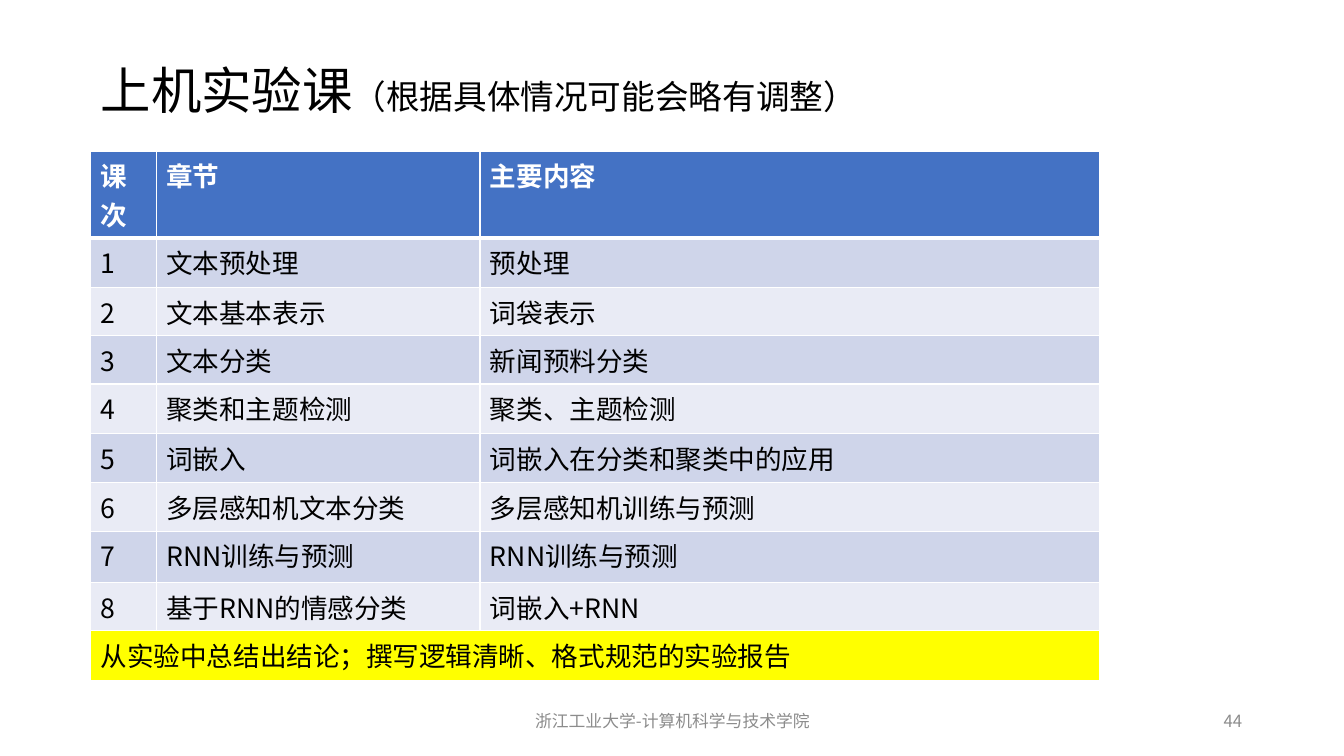
from lxml.etree import SubElement
from pptx import Presentation
from pptx.dml.color import RGBColor
from pptx.enum.text import MSO_ANCHOR as Anchor, PP_ALIGN as Align
from pptx.oxml.ns import qn
from pptx.util import Inches, Pt

COLORS = {
    "text": "000000", "white": "FFFFFF", "muted": "8C8C8C", "header": "4472C4",
    "band_dark": "CFD5EA", "band_light": "E9EBF5", "highlight": "FFFF00",
}
LESSONS = [
    ("文本预处理", "预处理"),
    ("文本基本表示", "词袋表示"),
    ("文本分类", "新闻预料分类"),
    ("聚类和主题检测", "聚类、主题检测"),
    ("词嵌入", "词嵌入在分类和聚类中的应用"),
    ("多层感知机文本分类", "多层感知机训练与预测"),
    ("RNN训练与预测", "RNN训练与预测"),
    ("基于RNN的情感分类", "词嵌入+RNN"),
]
SUMMARY = "从实验中总结出结论；撰写逻辑清晰、格式规范的实验报告"
COLUMN_WIDTHS = [0.65, 3.21, 6.15]
ROW_HEIGHTS = [0.86, 0.49, 0.48, 0.48, 0.49, 0.49, 0.48, 0.51, 0.48, 0.49]


class SlideBuilder:
    font_name = "Noto Sans CJK SC"

    def __init__(self, page):
        self.page = page

    def add_span(self, para, text, size, color="text", bold=False):
        span = para.add_run()
        span.text = text
        formats = {"size": Pt(size), "bold": bold, "name": self.font_name}
        for name, value in formats.items():
            setattr(span.font, name, value)
        span.font.color.rgb = RGBColor.from_string(COLORS[color])
        SubElement(span.font._element, qn("a:ea"), typeface=self.font_name)

    def add_text(self, spans, left, top, width, height, **para_formats):
        """Add a one-paragraph box; each span is (text, size, color)."""
        box = self.page.shapes.add_textbox(*map(Inches, (left, top, width, height)))
        frame = box.text_frame
        frame.word_wrap = True
        frame.vertical_anchor = Anchor.MIDDLE
        para = frame.paragraphs[0]
        for name, value in para_formats.items():
            setattr(para, name, value)
        for span in spans:
            self.add_span(para, *span)

    def add_borders(self, cell, widths):
        """Draw white cell borders from a dict of side letter to points."""
        properties = cell._tc.get_or_add_tcPr()
        for side, width in widths.items():
            line = SubElement(properties, qn(f"a:ln{side}"), w=str(Pt(width)))
            fill = SubElement(line, qn("a:solidFill"))
            SubElement(fill, qn("a:srgbClr"), val=COLORS["white"])

    def add_table(self, rows, left, top):
        size = map(Inches, (left, top, sum(COLUMN_WIDTHS), sum(ROW_HEIGHTS)))
        table = self.page.shapes.add_table(len(rows), len(COLUMN_WIDTHS), *size).table
        for column, width in zip(table.columns, COLUMN_WIDTHS):
            column.width = Inches(width)
        last = len(rows) - 1
        for index, (texts, height) in enumerate(zip(rows, ROW_HEIGHTS)):
            table.rows[index].height = Inches(height)
            is_header = index == 0
            fill = {0: "header", last: "highlight"}.get(
                index, "band_dark" if index % 2 else "band_light")
            widths = {"L": 1, "R": 1, "T": 3 if index == 1 else 1,
                      "B": 3 if is_header else 1}
            for cell, text in zip(table.rows[index].cells, texts):
                self.add_borders(cell, widths)
                cell.fill.solid()
                cell.fill.fore_color.rgb = RGBColor.from_string(COLORS[fill])
                if text:
                    self.add_span(cell.text_frame.paragraphs[0], text, 19,
                                  "white" if is_header else "text", is_header)
        table.cell(last, 0).merge(table.cell(last, len(COLUMN_WIDTHS) - 1))


def main():
    deck = Presentation()
    deck.slide_width, deck.slide_height = Inches(13.33), Inches(7.5)
    builder = SlideBuilder(deck.slides.add_slide(deck.slide_layouts[6]))

    title = [("上机实验课", 36, "text"), ("（根据具体情况可能会略有调整）", 24, "text")]
    builder.add_text(title, 0.9, 0.65, 10.01, 0.55, line_spacing=0.9)

    lessons = [(str(number), *lesson) for number, lesson in enumerate(LESSONS, 1)]
    rows = [("课次", "章节", "主要内容"), *lessons, (SUMMARY, "", "")]
    builder.add_table(rows, 0.9, 1.5)

    builder.add_text([("浙江工业大学-计算机科学与技术学院", 12, "muted")],
                     4.42, 6.95, 4.5, 0.4, alignment=Align.CENTER)
    builder.add_text([("44", 12, "muted")], 9.42, 6.95, 3, 0.4, alignment=Align.RIGHT)
    deck.save("out.pptx")


if __name__ == "__main__":
    main()
